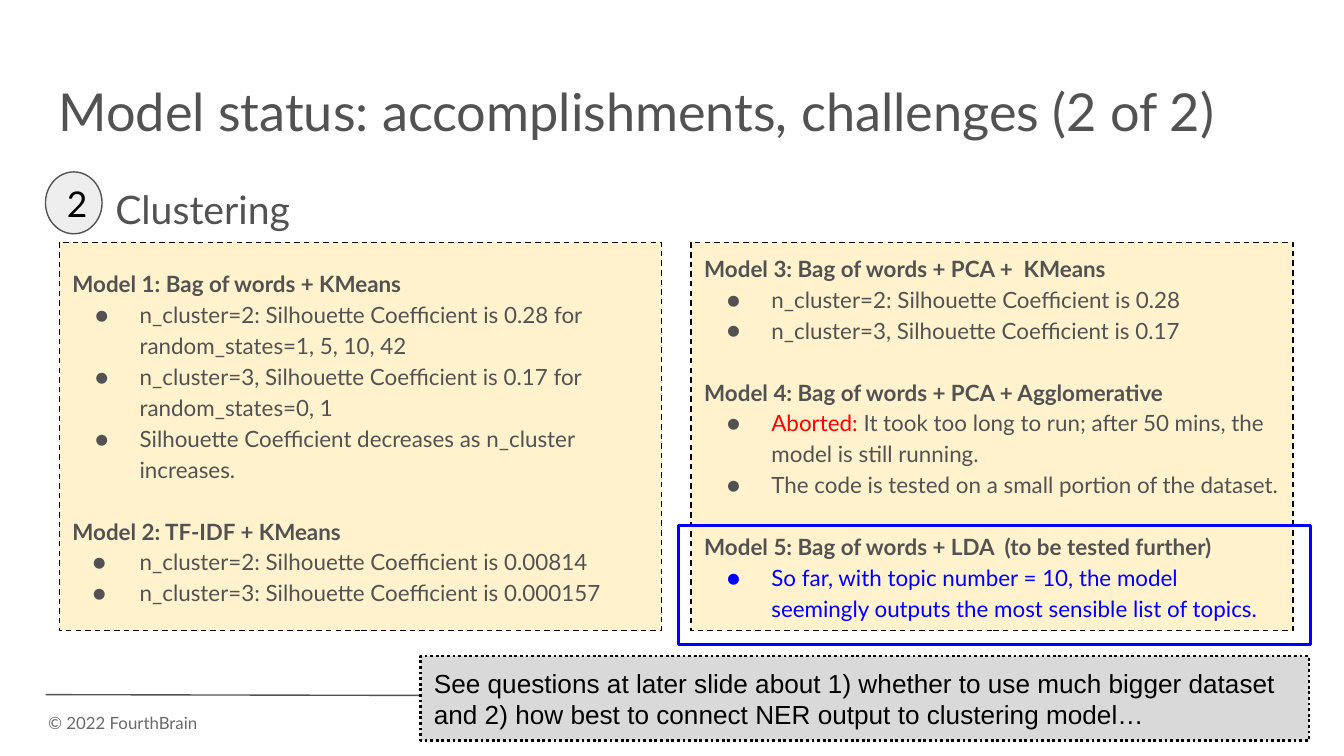
"""Build the model status slide on clustering results."""
from dataclasses import dataclass
from typing import Optional

import pptx
import pptx.dml.color
import pptx.enum.dml
import pptx.enum.shapes
import pptx.enum.text
import pptx.oxml
import pptx.oxml.ns
import pptx.util

Cm = pptx.util.Cm
Pt = pptx.util.Pt
RGBColor = pptx.dml.color.RGBColor
Dash = pptx.enum.dml.MSO_LINE
Form = pptx.enum.shapes.MSO_SHAPE
Anchor = pptx.enum.text.MSO_ANCHOR
Align = pptx.enum.text.PP_ALIGN

INK = RGBColor(0x52, 0x52, 0x52)
GREY = RGBColor(0x69, 0x69, 0x69)
BLACK = RGBColor(0, 0, 0)
RED = RGBColor(0xFF, 0, 0)
BLUE = RGBColor(0, 0, 0xFF)
CREAM = RGBColor(0xFF, 0xF2, 0xCC)
PALE = RGBColor(0xEE, 0xEE, 0xEE)
SILVER = RGBColor(0xD9, 0xD9, 0xD9)


@dataclass
class Area:
    left: float
    top: float
    width: float
    height: float

    def cm(self) -> tuple:
        return tuple(Cm(v) for v in (self.left, self.top, self.width, self.height))


@dataclass
class Point:
    text: str
    lead: str = ""
    color: RGBColor = INK


@dataclass
class Model:
    title: str
    points: list
    hang: float = 0.84


@dataclass
class Label:
    text: str
    area: Area
    size: float
    color: RGBColor = INK
    space: float = 1.0


@dataclass
class Panel:
    left: float
    models: list


def style(run, size: float, color: RGBColor, bold: bool = False, face: str = "Lato") -> None:
    run.font.name = face
    run.font.size = Pt(size)
    run.font.bold = bold
    run.font.color.rgb = color


def setup(frame) -> None:
    frame.word_wrap = True
    frame.margin_left = frame.margin_right = Cm(0.25)
    frame.margin_top = frame.margin_bottom = Cm(0.25)


def add_label(slide, label: Label) -> None:
    frame = slide.shapes.add_textbox(*label.area.cm()).text_frame
    setup(frame)
    frame.text = label.text
    para = frame.paragraphs[0]
    para.line_spacing = label.space
    style(para.runs[0], label.size, label.color)


def add_box(slide, form, area: Area, fill: Optional[RGBColor], edge: RGBColor,
            width: float, dash=None):
    box = slide.shapes.add_shape(form, *area.cm())
    box.shadow.inherit = False
    if fill is None:
        box.fill.background()
    else:
        box.fill.solid()
        box.fill.fore_color.rgb = fill
    box.line.color.rgb = edge
    box.line.width = Pt(width)
    if dash is not None:
        box.line.dash_style = dash
    setup(box.text_frame)
    box.text_frame.vertical_anchor = Anchor.MIDDLE
    return box


def write(box, text: str, size: float, face: str) -> None:
    box.text_frame.text = text
    para = box.text_frame.paragraphs[0]
    para.alignment = Align.LEFT
    style(para.runs[0], size, BLACK, face=face)


def add_bullet(para, color: RGBColor, hang: float) -> None:
    props = para._p.get_or_add_pPr()
    props.set("marL", str(Cm(1.27)))
    props.set("indent", str(-Cm(hang)))
    space = pptx.oxml.ns.nsdecls("a")
    for xml in (f'<a:buClr {space}><a:srgbClr val="{color}"/></a:buClr>',
                f'<a:buFont {space} typeface="Lato"/>',
                f'<a:buChar {space} char="●"/>'):
        props.append(pptx.oxml.parse_xml(xml))


def add_panel(slide, panel: Panel) -> None:
    area = Area(panel.left, 4.58, 11.38, 7.34)
    box = add_box(slide, Form.RECTANGLE, area, CREAM, BLACK, 0.75, Dash.DASH)
    frame = box.text_frame
    for rank, model in enumerate(panel.models):
        para = frame.add_paragraph() if rank else frame.paragraphs[0]
        para.text = model.title
        para.alignment = Align.LEFT
        para.line_spacing = 1.15
        if rank:
            para.space_before = Pt(16.56)
        style(para.runs[0], 12, INK, bold=True)
        for point in model.points:
            para = frame.add_paragraph()
            para.alignment = Align.LEFT
            para.line_spacing = 1.15
            add_bullet(para, point.color, model.hang)
            if point.lead:
                para.text = point.lead
                style(para.runs[0], 12, RED)
            run = para.add_run()
            run.text = point.text
            style(run, 12, point.color)


def add_rule(slide) -> None:
    rule = slide.shapes.add_connector(pptx.enum.shapes.MSO_CONNECTOR.STRAIGHT,
                                      Cm(0.86), Cm(13.13), Cm(24.66), Cm(13.18))
    rule.line.color.rgb = INK
    rule.line.width = Pt(0.75)
    space = pptx.oxml.ns.nsdecls("a")
    rule._element.spPr.append(pptx.oxml.parse_xml(f"<a:effectLst {space}/>"))


LABELS = [
    Label("© 2022 FourthBrain", Area(0.66, 13.28, 5.44, 0.79), 9, GREY),
    Label("Clustering", Area(1.93, 3.12, 11.13, 1.32), 21, space=1.15),
    Label("Model status: accomplishments, challenges (2 of 2)",
          Area(0.86, 1.24, 23.67, 1.6), 28),
]
FIRST = Panel(1.12, [
    Model("Model 1: Bag of words + KMeans", [
        Point("n_cluster=2: Silhouette Coefficient is 0.28 for random_states=1, 5, 10, 42"),
        Point("n_cluster=3, Silhouette Coefficient is 0.17 for random_states=0, 1"),
        Point("Silhouette Coefficient decreases as n_cluster increases.")]),
    Model("Model 2: TF-IDF + KMeans", [
        Point("n_cluster=2: Silhouette Coefficient is 0.00814"),
        Point("n_cluster=3: Silhouette Coefficient is 0.000157")], 0.89),
])
SECOND = Panel(13.06, [
    Model("Model 3: Bag of words + PCA +  KMeans", [
        Point("n_cluster=2: Silhouette Coefficient is 0.28"),
        Point("n_cluster=3, Silhouette Coefficient is 0.17")]),
    Model("Model 4: Bag of words + PCA + Agglomerative", [
        Point(" It took too long to run; after 50 mins, the model is still running.",
              "Aborted:"),
        Point("The code is tested on a small portion of the dataset.")]),
    Model("Model 5: Bag of words + LDA  (to be tested further)", [
        Point("So far, with topic number = 10, the model seemingly outputs "
              "the most sensible list of topics.", color=BLUE)]),
])


def main() -> None:
    deck = pptx.Presentation()
    deck.slide_width, deck.slide_height = Cm(25.4), Cm(14.29)
    slide = deck.slides.add_slide(deck.slide_layouts[6])
    add_rule(slide)
    add_panel(slide, SECOND)
    add_box(slide, Form.RECTANGLE, Area(12.83, 9.93, 11.94, 2.26), None, BLUE, 1.5)
    for label in LABELS:
        add_label(slide, label)
    badge = add_box(slide, Form.OVAL, Area(0.86, 3.25, 1.07, 1.17), PALE, INK, 0.75)
    write(badge, "2", 19, "Lato")
    add_panel(slide, FIRST)
    note = add_box(slide, Form.RECTANGLE, Area(7.95, 12.4, 16.79, 1.6), SILVER, BLACK,
                   1.5, Dash.ROUND_DOT)
    write(note, "See questions at later slide about 1) whether to use much bigger dataset "
          "and 2) how best to connect NER output to clustering model…", 14, "Arial")
    deck.save("out.pptx")


if __name__ == "__main__":
    main()
